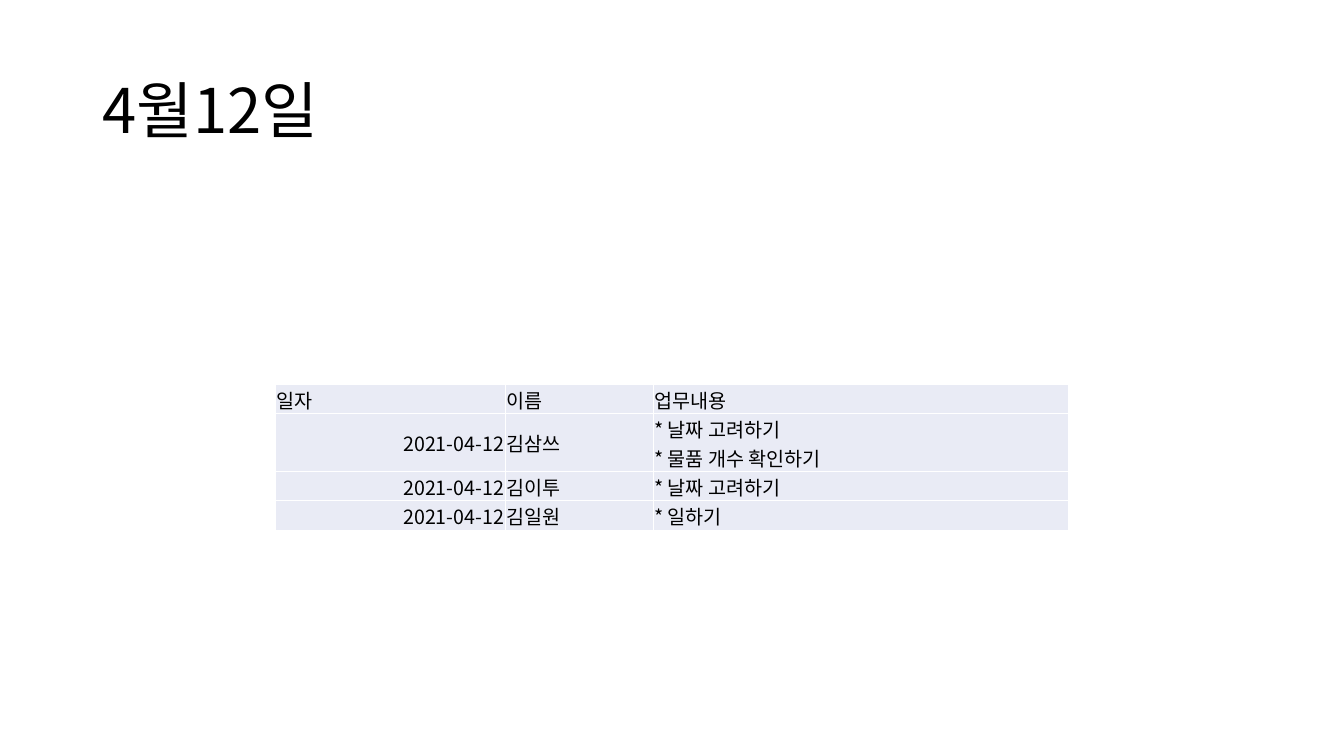
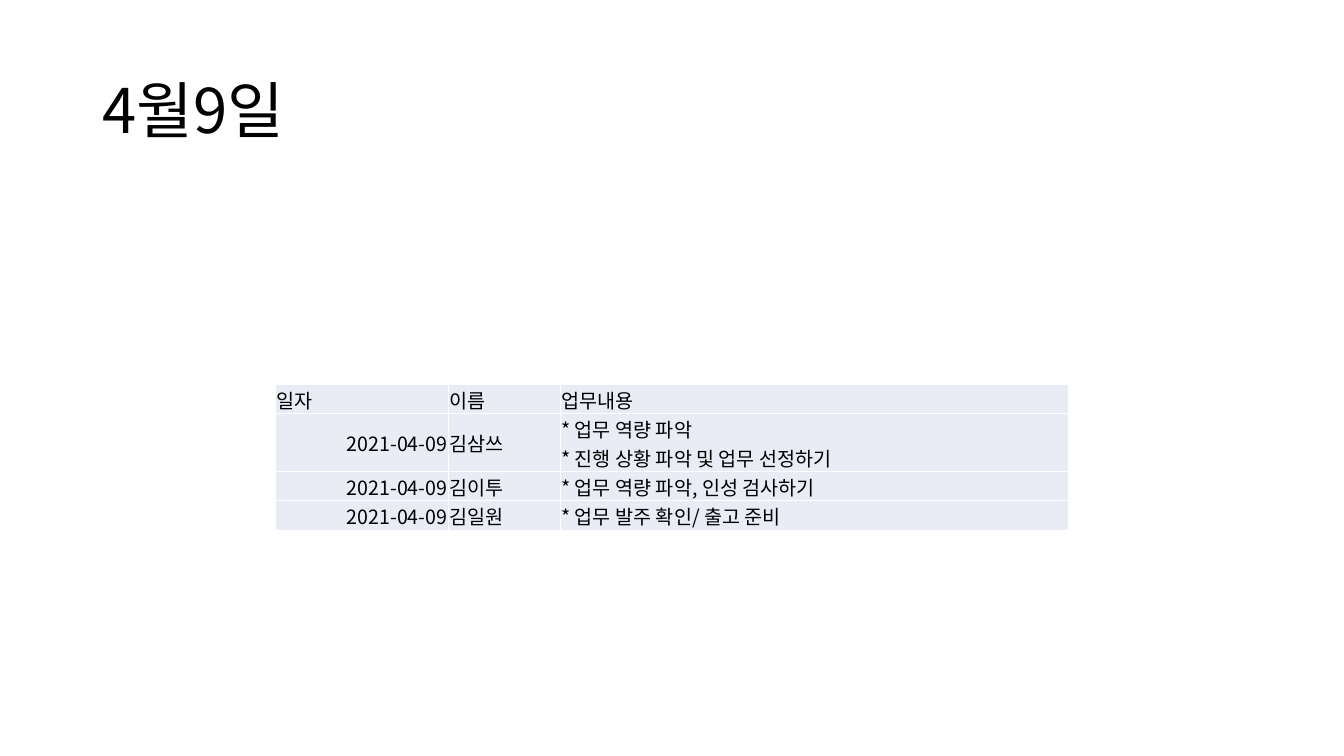
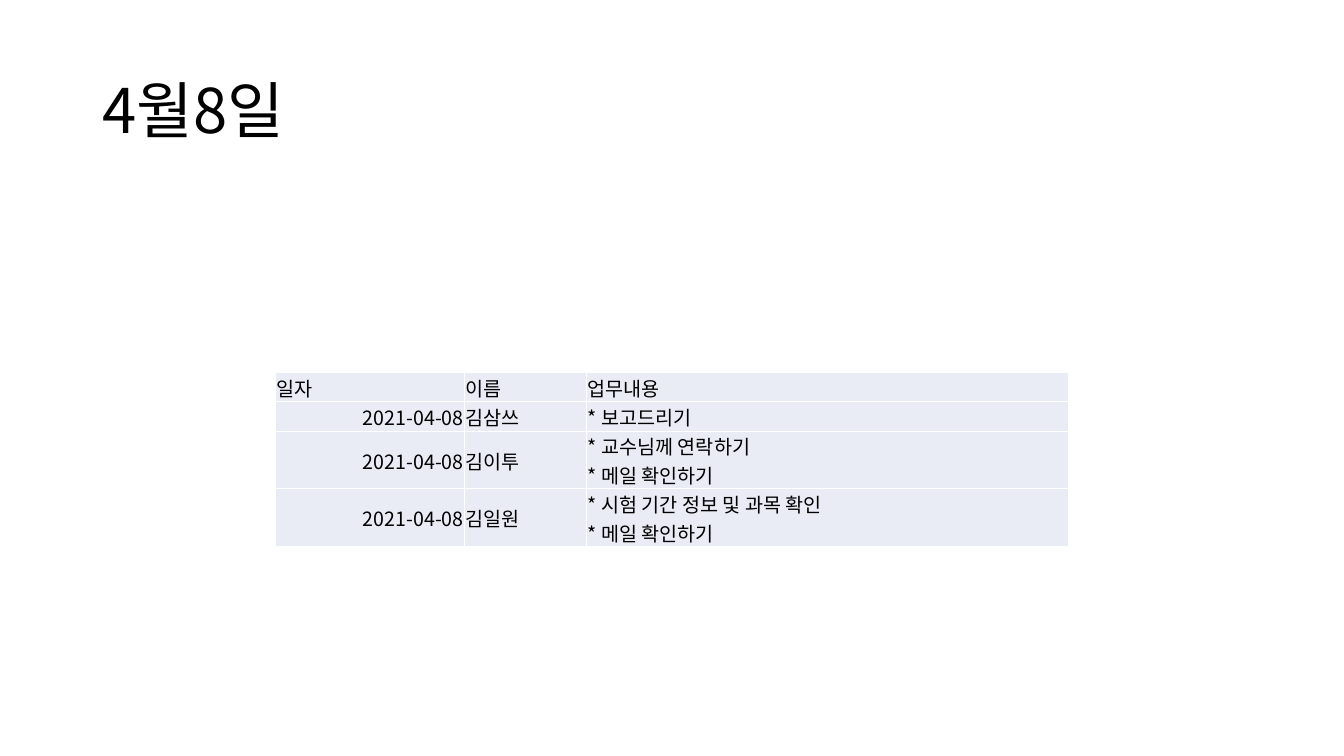
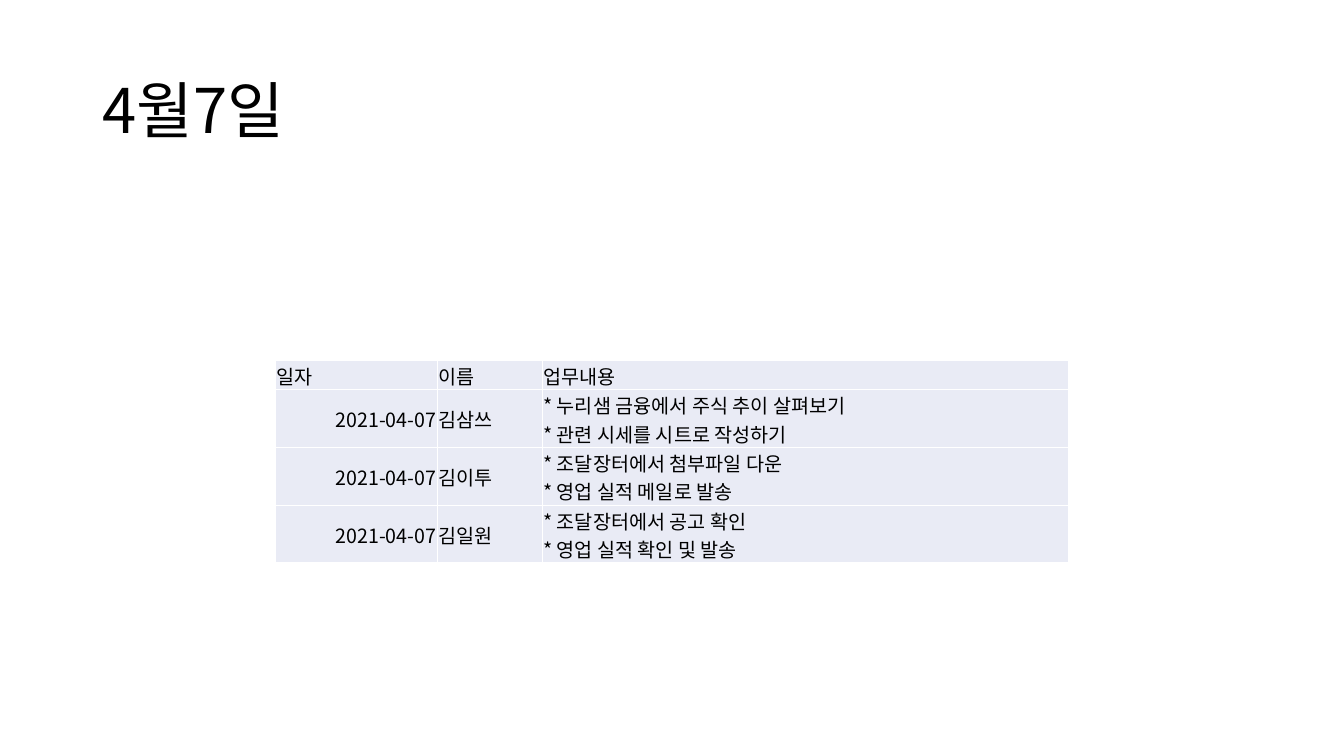
from dataclasses import dataclass

from lxml.etree import SubElement
from pptx import Presentation
from pptx.dml.color import RGBColor
from pptx.enum.text import MSO_ANCHOR, PP_ALIGN
from pptx.oxml.ns import qn
from pptx.slide import Slide
from pptx.table import _Cell
from pptx.text.text import _Paragraph
from pptx.util import Pt

COLORS = {"text": "000000", "cell": "E9EBF5", "border": "FFFFFF"}
FONT = "Noto Sans CJK KR"
YEAR = 2021
HEADERS = ("일자", "이름", "업무내용")
NAMES = ("김삼쓰", "김이투", "김일원")

TABLE_LEFT = 196.6
TABLE_WIDTH = 566.6
TABLE_CENTER = 317.6
LINE_STEP = 17.2
LINE_HEIGHT = 20.27
CELL_INSET = 0.72

TITLE_FONT = {"name": FONT, "size": Pt(44)}
TABLE_FONT = {"name": FONT, "size": Pt(14)}
TITLE_FRAME = {"word_wrap": True, "vertical_anchor": MSO_ANCHOR.MIDDLE}
CELL_FORMAT = {
    "vertical_anchor": MSO_ANCHOR.MIDDLE,
    "margin_left": Pt(CELL_INSET),
    "margin_right": Pt(CELL_INSET),
    "margin_top": Pt(CELL_INSET),
    "margin_bottom": Pt(0),
}
PLAIN_TABLE = {"first_row": False, "horz_banding": False}


@dataclass(frozen=True)
class DailyReport:
    month: int
    day: int
    date_width: float
    name_width: float
    tasks: tuple[tuple[str, ...], ...]

    @property
    def title(self) -> str:
        return f"{self.month}월{self.day}일"

    @property
    def date(self) -> str:
        return f"{YEAR}-{self.month:02}-{self.day:02}"

    @property
    def column_widths(self) -> tuple[float, ...]:
        task_width = TABLE_WIDTH - self.date_width - self.name_width
        return self.date_width, self.name_width, task_width

    @property
    def rows(self) -> list[tuple[str, ...]]:
        entries = [
            (self.date, name, "\v".join(f"* {task}" for task in tasks))
            for name, tasks in zip(NAMES, self.tasks)
        ]
        return [HEADERS, *entries]

    @property
    def line_counts(self) -> list[int]:
        return [1, *(len(tasks) for tasks in self.tasks)]

    @property
    def row_heights(self) -> list[float]:
        return [CELL_INSET + LINE_HEIGHT * count for count in self.line_counts]

    @property
    def table_top(self) -> float:
        return TABLE_CENTER - LINE_STEP * sum(self.line_counts) / 2


REPORTS = (
    DailyReport(4, 12, 164.2, 105.8, (
        ("날짜 고려하기", "물품 개수 확인하기"),
        ("날짜 고려하기",),
        ("일하기",),
    )),
    DailyReport(4, 9, 123.8, 79.9, (
        ("업무 역량 파악", "진행 상황 파악 및 업무 선정하기"),
        ("업무 역량 파악, 인성 검사하기",),
        ("업무 발주 확인/ 출고 준비",),
    )),
    DailyReport(4, 8, 135.4, 87.1, (
        ("보고드리기",),
        ("교수님께 연락하기", "메일 확인하기"),
        ("시험 기간 정보 및 과목 확인", "메일 확인하기"),
    )),
    DailyReport(4, 7, 115.9, 74.9, (
        ("누리샘 금융에서 주식 추이 살펴보기", "관련 시세를 시트로 작성하기"),
        ("조달장터에서 첨부파일 다운", "영업 실적 메일로 발송"),
        ("조달장터에서 공고 확인", "영업 실적 확인 및 발송"),
    )),
)


def apply_format(target: object, values: dict) -> None:
    for name, value in values.items():
        setattr(target, name, value)


def write_text(paragraph: _Paragraph, text: str, font_format: dict) -> None:
    paragraph.text = text
    for run in paragraph.runs:
        apply_format(run.font, font_format)
        run.font.color.rgb = RGBColor.from_string(COLORS["text"])
        properties = run.font._element
        properties.set("kern", "0")
        SubElement(properties, qn("a:ea"), typeface=FONT)


def add_title(slide: Slide, text: str) -> None:
    shape = slide.shapes.add_textbox(Pt(66), Pt(28.8), Pt(828), Pt(104.4))
    apply_format(shape.text_frame, TITLE_FRAME)
    paragraph = shape.text_frame.paragraphs[0]
    paragraph.line_spacing = 0.9
    write_text(paragraph, text, TITLE_FONT)


def add_borders(cell: _Cell) -> None:
    properties = cell._tc.get_or_add_tcPr()
    for side in ("L", "R", "T", "B"):
        line = SubElement(properties, qn(f"a:ln{side}"), w=str(Pt(1)))
        fill = SubElement(line, qn("a:solidFill"))
        SubElement(fill, qn("a:srgbClr"), val=COLORS["border"])


def fill_cell(cell: _Cell, text: str, alignment: PP_ALIGN) -> None:
    apply_format(cell, CELL_FORMAT)
    add_borders(cell)
    cell.fill.solid()
    cell.fill.fore_color.rgb = RGBColor.from_string(COLORS["cell"])
    paragraph = cell.text_frame.paragraphs[0]
    paragraph.alignment = alignment
    write_text(paragraph, text, TABLE_FONT)


def add_report_table(slide: Slide, report: DailyReport) -> None:
    frame = slide.shapes.add_table(
        len(report.rows), len(HEADERS),
        Pt(TABLE_LEFT), Pt(report.table_top),
        Pt(TABLE_WIDTH), Pt(sum(report.row_heights)),
    )
    table = frame.table
    apply_format(table, PLAIN_TABLE)
    for column, width in zip(table.columns, report.column_widths):
        column.width = Pt(width)
    for row, height in zip(table.rows, report.row_heights):
        row.height = Pt(height)
    for row_index, texts in enumerate(report.rows):
        for column_index, text in enumerate(texts):
            is_date = row_index > 0 and column_index == 0
            alignment = PP_ALIGN.RIGHT if is_date else PP_ALIGN.LEFT
            fill_cell(table.cell(row_index, column_index), text, alignment)


def main() -> None:
    presentation = Presentation()
    apply_format(presentation, {"slide_width": Pt(960), "slide_height": Pt(540)})
    for report in REPORTS:
        slide = presentation.slides.add_slide(presentation.slide_layouts[6])
        add_title(slide, report.title)
        add_report_table(slide, report)
    presentation.save("out.pptx")


main()
